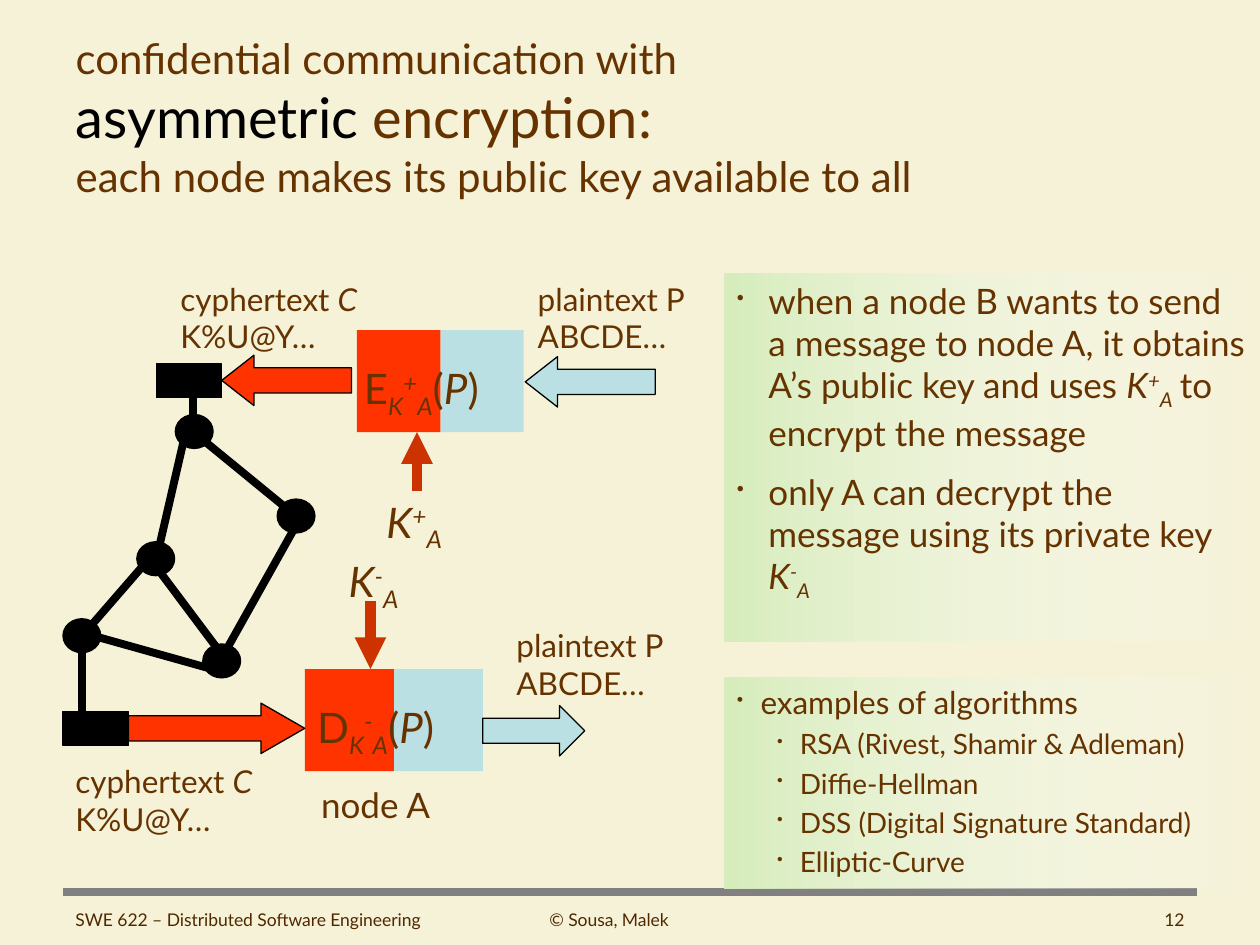
from lxml import etree
from pptx import Presentation
from pptx.dml.color import RGBColor
from pptx.enum.shapes import MSO_CONNECTOR, MSO_SHAPE
from pptx.enum.text import MSO_ANCHOR, MSO_AUTO_SIZE, PP_ALIGN
from pptx.oxml.ns import qn
from pptx.util import Pt

STRAIGHT = MSO_CONNECTOR.STRAIGHT
RECTANGLE, OVAL = MSO_SHAPE.RECTANGLE, MSO_SHAPE.OVAL
LEFT_ARROW, RIGHT_ARROW = MSO_SHAPE.LEFT_ARROW, MSO_SHAPE.RIGHT_ARROW
TOP, MIDDLE = MSO_ANCHOR.TOP, MSO_ANCHOR.MIDDLE
NO_FIT, GROW = MSO_AUTO_SIZE.NONE, MSO_AUTO_SIZE.SHAPE_TO_FIT_TEXT
LEFT, CENTER, RIGHT = PP_ALIGN.LEFT, PP_ALIGN.CENTER, PP_ALIGN.RIGHT

FONT = "Lato"
BROWN, DARK_BROWN, BLACK, GRAY = "663300", "502800", "000000", "808080"
CREAM, RED, RUST, BLUE = "F5F2D8", "FF3300", "CC3300", "BBE0E3"
GREEN, WHITE = "D7EDBD", "FFFFFF"
BASELINES = {"^": "30000", "_": "-25000"}


def color(hex_text):
    return RGBColor.from_string(hex_text)


def points(*values):
    return [Pt(value) for value in values]


def add_spans(para, spans, size, hex_color=BROWN):
    """Each span is (text, marks, size): i is italic, ^ raised, _ lowered."""
    for text, marks, *own_size in spans:
        span = para.add_run()
        span.text = text
        span.font.name = FONT
        span.font.size = Pt(own_size[0] if own_size else size)
        span.font.color.rgb = color(hex_color)
        span.font.italic = "i" in marks
        for mark in BASELINES:
            if mark in marks:
                span._r.get_or_add_rPr().set("baseline", BASELINES[mark])


def key(sign):
    return [("K", "i"), (sign, "i^"), ("A", "i_")]


def cipher(letter, sign):
    return [(letter, ""), ("K", "i_"), (sign, "i^"), ("A", "i_"),
            ("(", ""), ("P", "i"), (")", "")]


def add_label(page, box, lines, size, hex_color=BROWN, align=LEFT, wrap=False):
    frame = page.shapes.add_textbox(*points(*box)).text_frame
    frame.word_wrap = wrap
    frame.auto_size = NO_FIT if wrap else GROW
    for number, spans in enumerate(lines):
        para = frame.add_paragraph() if number else frame.paragraphs[0]
        para.alignment = align
        add_spans(para, spans, size, hex_color)


def add_block(page, kind, box, fill, line=None):
    shape = page.shapes.add_shape(kind, *points(*box))
    shape.shadow.inherit = False
    shape.fill.solid()
    shape.fill.fore_color.rgb = color(fill)
    if line:
        shape.line.color.rgb = color(line)
        shape.line.width = Pt(0.75)
    else:
        shape.line.fill.background()
    return shape


def add_block_arrow(page, kind, box, fill, head):
    arrow = add_block(page, kind, box, fill, BLACK)
    arrow.adjustments[0] = 0.5
    arrow.adjustments[1] = head


def add_line(page, start, end, hex_color, width, arrow=False):
    connector = page.shapes.add_connector(STRAIGHT, *points(*start, *end))
    connector.line.color.rgb = color(hex_color)
    connector.line.width = Pt(width)
    if arrow:
        etree.SubElement(connector.line._get_or_add_ln(), qn("a:tailEnd"), type="triangle")
    etree.SubElement(connector._element.spPr, qn("a:effectLst"))


def place_title(page, box):
    title = page.shapes.title
    title.left, title.top, title.width, title.height = points(*box)
    frame = title.text_frame
    frame.word_wrap = True
    frame.auto_size = NO_FIT
    frame.vertical_anchor = MIDDLE
    para = frame.paragraphs[0]
    para.alignment = LEFT
    add_spans(para, [("confidential communication with ", "")], 24)
    para.add_line_break()
    add_spans(para, [("asymmetric", "")], 32, BLACK)
    add_spans(para, [(" encryption:", "")], 32)
    para.add_line_break()
    add_spans(para, [("each node makes its public key available to all", "")], 24)


def place_footer(page, box):
    left, top, width, height = box
    add_line(page, (left, top), (left + width, top), GRAY, 4.5)
    for text, offset, part, align in (
            ("SWE 622 – Distributed Software Engineering", 0, 228, LEFT),
            ("© Sousa, Malek", 228, 168, CENTER),
            ("12", 396, 252, RIGHT)):
        add_label(page, (left + offset, top + 5.8, part, height), [[(text, "")]],
                  10, DARK_BROWN, align, wrap=True)


def place_cipher(page, box, spans, text_left, text_width):
    """Two-colour box with its formula on top."""
    left, top, width, height = box
    half = width / 2
    add_block(page, RECTANGLE, (left + half, top, half, height), BLUE)
    add_block(page, RECTANGLE, (left, top, half, height), RED)
    add_label(page, (text_left, top + 15.1, text_width, 36.4), [spans], 24)


def place_network(page, left, top):
    def shifted(x, y):
        return left + x, top + y

    for x, y in ((75, 38.6), (53, 111.3), (133.2, 86.9), (10.8, 155.3), (90.7, 169.7)):
        add_block(page, OVAL, (*shifted(x - 10.8, y - 9.7), 21.6, 19.4), BLACK, BLACK)
    for x, y in ((53.3, 0), (0, 198.8)):
        add_block(page, RECTANGLE, (*shifted(x, y), 37.4, 19.4), BLACK, BLACK)
    for start, end in (
            ((53.3, 106.6), (15.8, 149.8)), ((79.9, 43.3), (127.4, 82.2)),
            ((69.1, 43.3), (53.3, 111.7)), ((53.3, 116), (90, 165)),
            ((15.8, 154.9), (85, 174.3)), ((133.2, 92.2), (90, 169.3)),
            ((74.2, 9.4), (74.2, 33.9)), ((10.8, 165), (10.8, 203.1))):
        add_line(page, shifted(*start), shifted(*end), BLACK, 4.5)


def place_panel(page, box, items, gap):
    """Each item is (spans, size, level, text indent, bullet hang)."""
    panel = add_block(page, RECTANGLE, box, GREEN)
    panel.fill.gradient()
    panel.fill.gradient_angle = 0
    for stop, hex_color, position in zip(panel.fill.gradient_stops, (GREEN, WHITE), (0, 1)):
        stop.color.rgb = color(hex_color)
        stop.position = position
    last_color = panel._element.spPr.findall(".//" + qn("a:srgbClr"))[-1]
    etree.SubElement(last_color, qn("a:alpha"), val="0")

    frame = panel.text_frame
    frame.word_wrap = True
    frame.vertical_anchor = TOP
    for number, (spans, size, level, indent, hang) in enumerate(items):
        para = frame.add_paragraph() if number else frame.paragraphs[0]
        para.alignment = LEFT
        para.level = level
        para.space_before = Pt(gap if number else 0)
        properties = para._p.get_or_add_pPr()
        properties.set("marL", str(Pt(indent)))
        properties.set("indent", str(-Pt(hang)))
        etree.SubElement(properties, qn("a:buSzPct"), val="60000")
        etree.SubElement(properties, qn("a:buChar"), char="•")
        add_spans(para, spans, size)


def place_diagram(page):
    add_line(page, (238.3, 280.8), (238.3, 247), RUST, 6, arrow=True)
    add_line(page, (211.7, 343.4), (211.7, 382.3), RUST, 6, arrow=True)
    place_cipher(page, (203.9, 188.6, 95.4, 58.3), cipher("E", "+"), 200.9, 91.4)
    place_cipher(page, (174.2, 382.3, 101.8, 58.3), cipher("D", "-"), 174.2, 86.4)
    for kind, box, fill, head in (
            (LEFT_ARROW, (300.2, 203.8, 74.2, 28.8), BLUE, 0.64),
            (RIGHT_ARROW, (275.8, 403.2, 58.3, 28.8), BLUE, 0.5),
            (LEFT_ARROW, (126.7, 203, 74.2, 28.8), RED, 0.64),
            (RIGHT_ARROW, (73.4, 401.8, 100.8, 28.8), RED, 0.87)):
        add_block_arrow(page, kind, box, fill, head)
    place_network(page, 36, 208)

    plain = [[("plaintext P", "")], [("ABCDE…", "")]]
    secret = [[("cyphertext ", ""), ("C", "i")], [("K%U@Y…", "")]]
    for box, lines, size in (
            ((288, 354.2, 99.4, 51), plain, 18),
            ((300.2, 156.2, 99.4, 51), plain, 18),
            ((96, 156.2, 116, 51), secret, 18),
            ((36, 432, 116, 51), secret, 18),
            ((213.8, 280, 50.4, 36.4), [key("+")], 24),
            ((192.2, 314, 43.2, 36.4), [key("-")], 24),
            ((176.4, 444.2, 77, 31.5), [[("node A", "")]], 20)):
        add_label(page, box, lines, size)


def main():
    deck = Presentation()
    deck.slide_width, deck.slide_height = points(720, 540)
    page = deck.slides.add_slide(deck.slide_layouts[5])
    page.background.fill.solid()
    page.background.fill.fore_color.rgb = color(CREAM)

    place_footer(page, (36, 509.8, 648, 24))
    place_title(page, (36, 21.6, 648, 90))
    place_diagram(page)

    usage = [
        [("when a node B wants to send a message to node A, it obtains "
          "A’s public key and uses ", ""), *key("+"), (" ", "", 16),
         ("to encrypt the message", "")],
        [("only A can decrypt the message using its private key ", ""), *key("-")]]
    place_panel(page, (414, 156.2, 306, 210.5),
                [(spans, 20, 0, 18, 18) for spans in usage], 10)
    algorithms = ("RSA (Rivest, Shamir & Adleman)", "Diffie-Hellman",
                  "DSS (Digital Signature Standard)", "Elliptic-Curve")
    place_panel(page, (414, 387, 306, 120.5),
                [([("examples of algorithms", "")], 18, 0, 13.5, 13.5)]
                + [([(name, "")], 16, 1, 36, 13) for name in algorithms], 3.2)
    deck.save("out.pptx")


if __name__ == "__main__":
    main()
